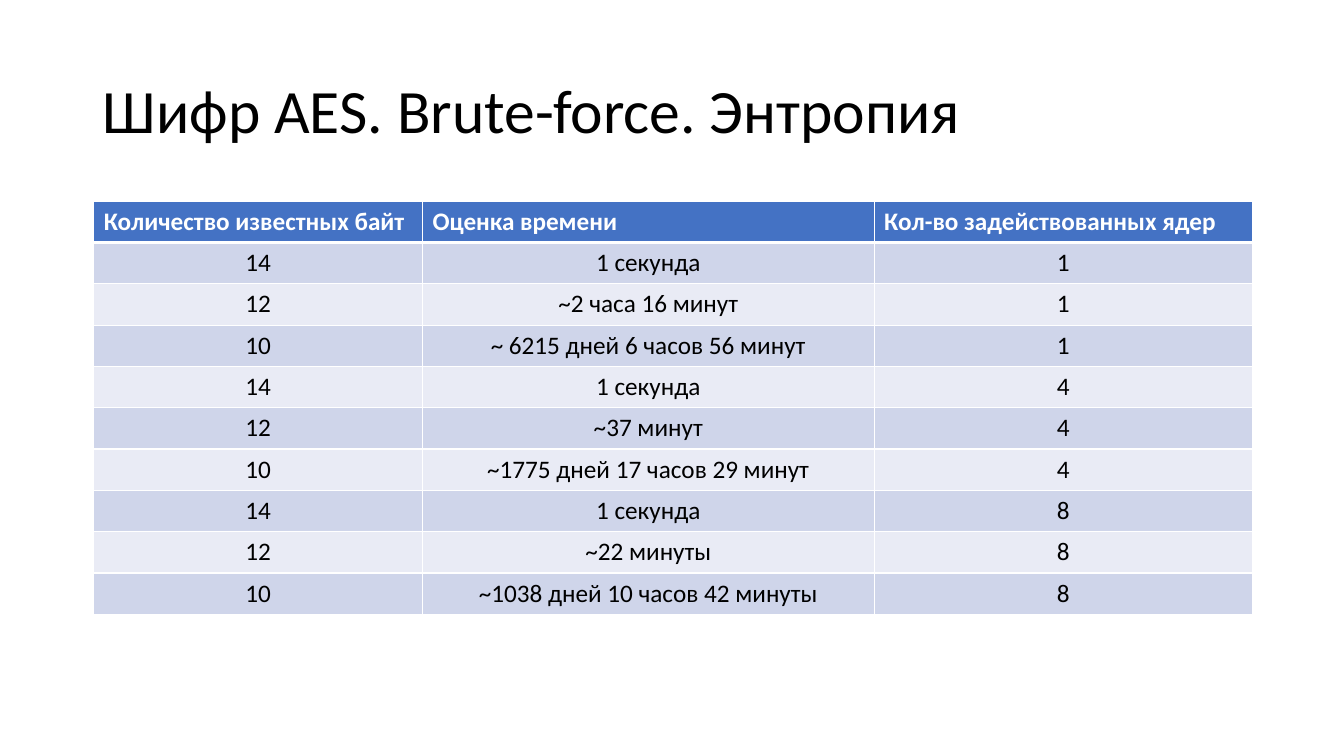
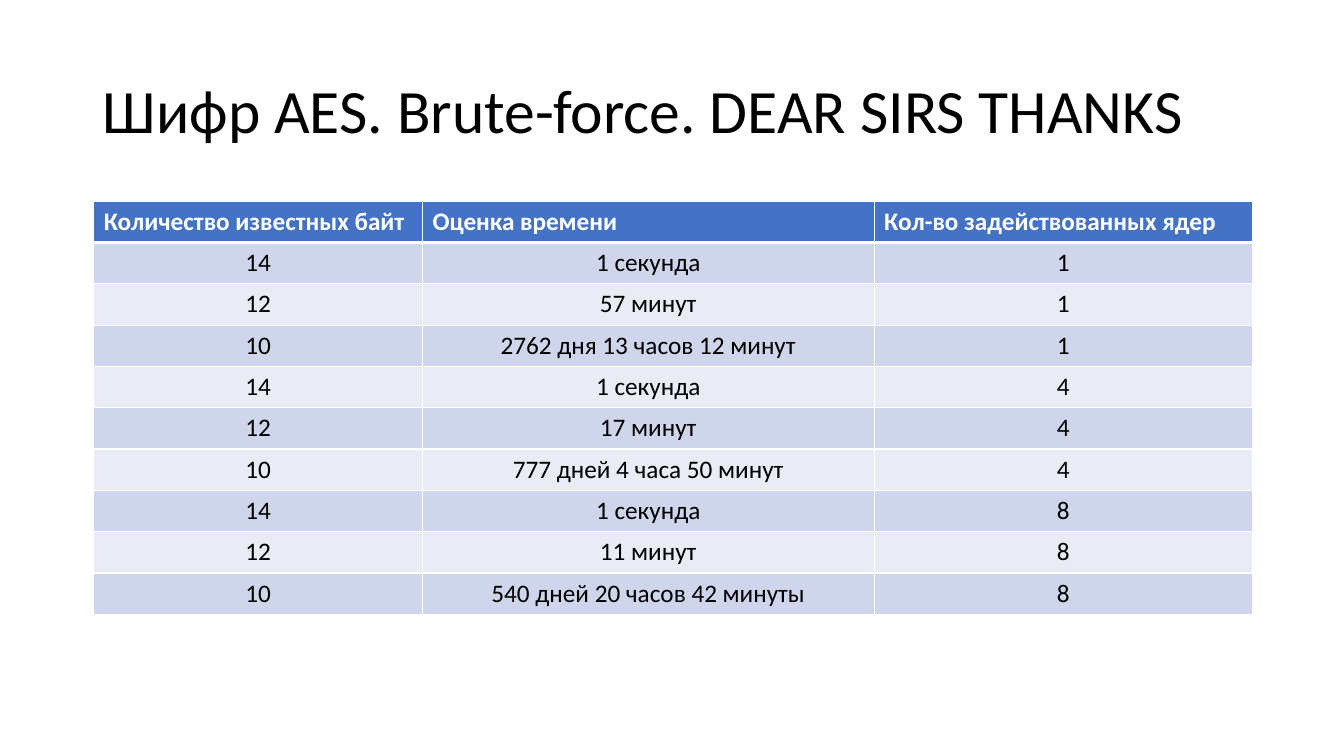
from lxml import etree
from pptx import Presentation
from pptx.dml.color import RGBColor
from pptx.enum.text import MSO_ANCHOR as Anchor, MSO_AUTO_SIZE as AutoSize, PP_ALIGN as Align
from pptx.oxml.ns import qn
from pptx.util import Emu, Pt

# Content
HEADINGS = ["Количество известных байт", "Оценка времени", "Кол-во задействованных ядер"]
KNOWN_BYTES = [14, 12, 10]
CORES = [1, 4, 8]
SLIDES = [
    ("Шифр AES. Brute-force. Энтропия", [
        "1 секунда", "~2 часа 16 минут", "~ 6215 дней 6 часов 56 минут",
        "1 секунда", "~37 минут", "~1775 дней 17 часов 29 минут",
        "1 секунда", "~22 минуты", "~1038 дней 10 часов 42 минуты",
    ]),
    ("Шифр AES. Brute-force. DEAR SIRS THANKS", [
        "1 секунда", "57 минут", "2762 дня 13 часов 12 минут",
        "1 секунда", "17 минут", "777 дней 4 часа 50 минут",
        "1 секунда", "11 минут", "540 дней 20 часов 42 минуты",
    ]),
]

# Shared style: lengths in px, 100 px to the inch
PX = 9144
SLIDE_SIZE = (1333, 750)
TITLE_BOX = (92, 40, 1150, 145)
TABLE_ORIGIN = (93, 200)
COLUMN_WIDTHS = [326, 448, 375]
HEADER_HEIGHT, ROW_HEIGHT = 39, 41
WHITE, BLACK, BLUE = "FFFFFF", "000000", "4472C4"
BANDS = ["CFD5EA", "E9EBF5"]
THIN, THICK = 1, 3
TITLE_FONT = {"name": "Calibri", "size": Pt(44), "bold": False}
HEADER_FONT = {"name": "Calibri", "size": Pt(18), "bold": True}
BODY_FONT = {"name": "Calibri", "size": Pt(18), "bold": False}


def px(length):
    return Emu(length * PX)


def rgb(color):
    return RGBColor.from_string(color)


def write(text_frame, text, font, color, align):
    text_frame.text = text
    paragraph = text_frame.paragraphs[0]
    paragraph.alignment = align
    run_font = paragraph.runs[0].font
    for name, value in font.items():
        setattr(run_font, name, value)
    run_font.color.rgb = rgb(color)
    return paragraph


def set_borders(cell, widths):
    properties = cell._tc.get_or_add_tcPr()
    for side, width in widths.items():
        line = etree.SubElement(properties, qn(f"a:ln{side}"), w=str(Pt(width)))
        fill = etree.SubElement(line, qn("a:solidFill"))
        etree.SubElement(fill, qn("a:srgbClr"), val=WHITE)


def add_title(slide, text):
    title = slide.shapes.title
    title.left, title.top, title.width, title.height = map(px, TITLE_BOX)
    frame = title.text_frame
    frame.word_wrap = True
    frame.auto_size = AutoSize.NONE
    frame.vertical_anchor = Anchor.MIDDLE
    write(frame, text, TITLE_FONT, BLACK, Align.LEFT).line_spacing = 0.9


def add_estimates(slide, times):
    # Each core count is measured with every number of known bytes
    cases = [(known, cores) for cores in CORES for known in KNOWN_BYTES]
    rows = [HEADINGS] + [(known, time, cores) for (known, cores), time in zip(cases, times)]
    heights = [HEADER_HEIGHT] + [ROW_HEIGHT] * len(cases)
    size = (sum(COLUMN_WIDTHS), sum(heights))
    table = slide.shapes.add_table(
        len(rows), len(HEADINGS), *map(px, TABLE_ORIGIN + size)).table
    for column, width in zip(table.columns, COLUMN_WIDTHS):
        column.width = px(width)

    for index, (values, height) in enumerate(zip(rows, heights)):
        table.rows[index].height = px(height)
        if index == 0:
            fill, style = BLUE, (HEADER_FONT, WHITE, Align.LEFT)
        else:
            fill, style = BANDS[(index - 1) % 2], (BODY_FONT, BLACK, Align.CENTER)
        borders = {"L": THIN, "R": THIN,
                   "T": THICK if index == 1 else THIN,
                   "B": THICK if index == 0 else THIN}
        for cell, value in zip(table.rows[index].cells, values):
            set_borders(cell, borders)
            cell.fill.solid()
            cell.fill.fore_color.rgb = rgb(fill)
            write(cell.text_frame, str(value), *style)


def main():
    presentation = Presentation()
    presentation.slide_width, presentation.slide_height = map(px, SLIDE_SIZE)
    title_only = presentation.slide_layouts[5]
    for title, times in SLIDES:
        slide = presentation.slides.add_slide(title_only)
        add_title(slide, title)
        add_estimates(slide, times)
    presentation.save("out.pptx")


if __name__ == "__main__":
    main()
